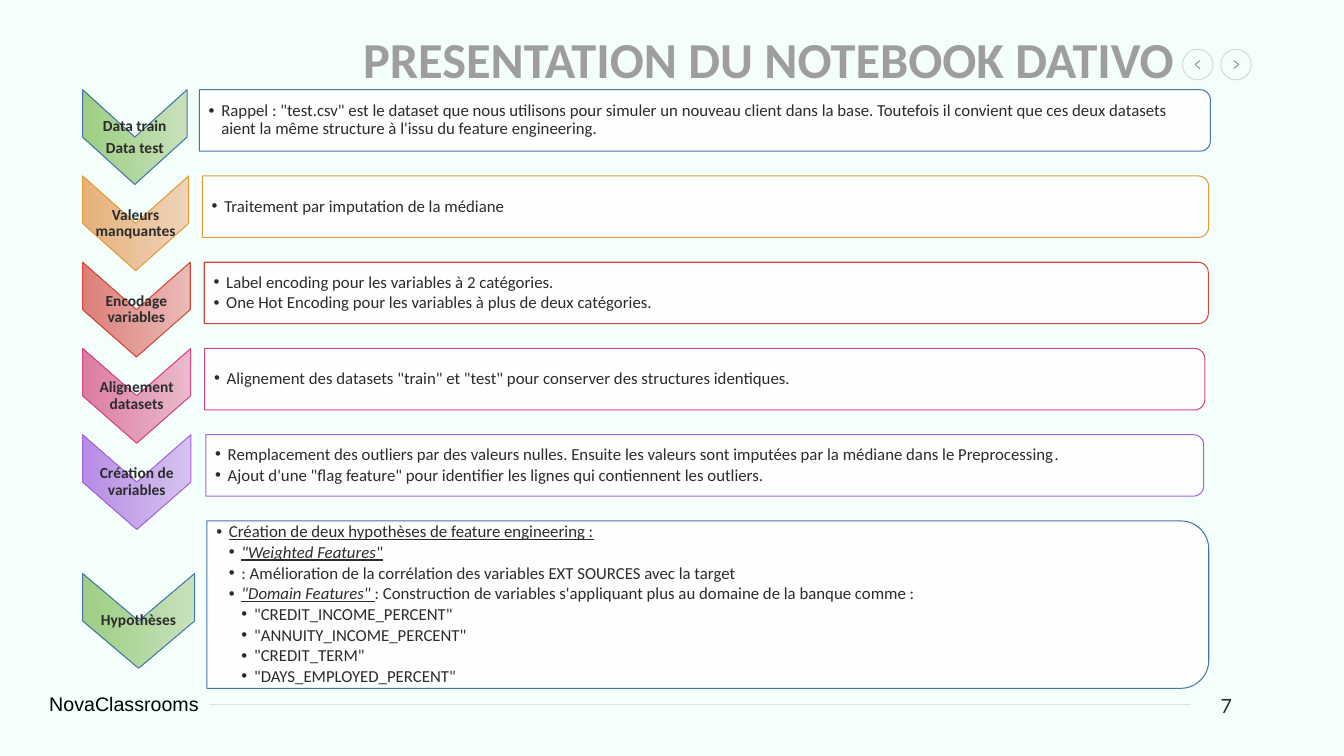
from lxml import etree
from pptx import Presentation
from pptx.dml.color import RGBColor
from pptx.enum.shapes import MSO_CONNECTOR, MSO_SHAPE
from pptx.enum.text import MSO_ANCHOR, MSO_AUTO_SIZE, PP_ALIGN
from pptx.oxml.ns import qn
from pptx.util import Pt

LINE = MSO_CONNECTOR.STRAIGHT
OVAL, CHEVRON, PANEL = MSO_SHAPE.OVAL, MSO_SHAPE.CHEVRON, MSO_SHAPE.ROUND_2_SAME_RECTANGLE
TOP, MIDDLE = MSO_ANCHOR.TOP, MSO_ANCHOR.MIDDLE
LEFT, CENTER, RIGHT = PP_ALIGN.LEFT, PP_ALIGN.CENTER, PP_ALIGN.RIGHT

# Content: a bullet is (level, runs), a run is (text, style), with i italic and u underlined
TITLE = "PRESENTATION DU NOTEBOOK DATIVO"
BRAND, PAGE = "NovaClassrooms", "7"
STEPS = [
    (["Data train", "Data test"], [
        (1, [("Rappel : \"test.csv\" est le dataset que nous utilisons pour simuler un nouveau client "
              "dans la base. Toutefois il convient que ces deux datasets aient la même structure "
              "à l'issu du feature engineering.", "")])]),
    (["Valeurs manquantes"], [
        (1, [("Traitement par imputation de la médiane", "")])]),
    (["Encodage variables"], [
        (1, [("Label encoding pour les variables à 2 catégories.", "")]),
        (1, [("One Hot Encoding pour les variables à plus de deux catégories.", "")])]),
    (["Alignement datasets"], [
        (1, [("Alignement des datasets \"train\" et \"test\" pour conserver des structures "
              "identiques.", "")])]),
    (["Création de variables"], [
        (1, [("Remplacement des outliers par des valeurs nulles. Ensuite les valeurs sont imputées "
              "par la médiane dans le Preprocessing", ""), (".", "i")]),
        (1, [("Ajout d'une \"flag feature\" pour identifier les lignes qui contiennent les "
              "outliers.", "")])]),
    (["Hypothèses"], [
        (1, [("Création de deux hypothèses de feature engineering :", "u")]),
        (2, [("\"Weighted Features\"", "iu")]),
        (2, [(": Amélioration de la corrélation des variables EXT SOURCES avec la target", "")]),
        (2, [("\"Domain Features\" ", "iu"),
             (": Construction de variables s'appliquant plus au domaine de la banque comme :", "")]),
        (3, [("\"CREDIT_INCOME_PERCENT\"", "")]),
        (3, [("\"ANNUITY_INCOME_PERCENT\"", "")]),
        (3, [("\"CREDIT_TERM\"", "")]),
        (3, [("\"DAYS_EMPLOYED_PERCENT\"", "")])]),
]

THEME = {
    "back": "F4FFFC", "title": "9E9E9E", "ink": "2B2B2D", "brand": "000000",
    "panel": "FFFFFF", "rule": "7F7F7F", "ring": "D8D8D8", "arrow": "929297",
    "font": "Calibri", "brand font": "Arial", "page font": "Lato",
    "title size": 36, "label size": 11, "body size": 12, "foot size": 14, "line": 0.75,
    # light, dark, outline
    "steps": [("C8E1BC", "9DCE81", "4276AA"), ("F0D3BA", "E6B179", "E19D3C"),
              ("EABBB8", "DC7E78", "D54839"), ("EABACB", "DD7CA2", "D64487"),
              ("D6C3EF", "B68DE4", "A465DF"), ("C8E1BC", "9DCE81", "4276AA")],
}

# Layout of the steps: chevron width, panel left, panel width
SPANS = [(74.6, 142.4, 722.2), (75.8, 144.5, 718.8), (76.9, 145.9, 717.2),
         (77.2, 146.2, 714.4), (77.4, 147, 712.8), (80, 147.8, 715.6)]
EDGE, START, PITCH = 59, 64.1, 61.6
MARK, SHORT, TALL, DROP = 67.7, 43.9, 119.6, 37.6


def tint(code):
    return RGBColor.from_string(code)


def fade(fill, share):
    color = fill.find(".//" + qn("a:srgbClr"))
    etree.SubElement(color, qn("a:alpha"), val=str(share * 1000))


def style(run, size, color, font=THEME["font"], bold=False):
    run.font.size, run.font.name, run.font.bold = Pt(size), font, bold
    run.font.color.rgb = tint(color)


def frame(slide, box, pads, anchor):
    text = slide.shapes.add_textbox(*map(Pt, box)).text_frame
    inset(text, pads, anchor)
    return text


def inset(text, pads, anchor):
    text.word_wrap, text.auto_size = True, MSO_AUTO_SIZE.NONE
    text.vertical_anchor = anchor
    text.margin_left, text.margin_top, text.margin_right, text.margin_bottom = map(Pt, pads)


def shape(slide, kind, box, line):
    item = slide.shapes.add_shape(kind, *map(Pt, box))
    item.shadow.inherit = False
    item.line.color.rgb, item.line.width = tint(line), Pt(THEME["line"])
    return item


def turned(slide, kind, box, line):
    """Shape rotated a quarter turn so that it covers the given box."""
    x, y, w, h = box
    item = shape(slide, kind, (x + (w - h) / 2, y + (h - w) / 2, h, w), line)
    item.rotation = 90
    return item


def stroke(slide, ends, color):
    item = slide.shapes.add_connector(LINE, *map(Pt, ends))
    item.line.color.rgb, item.line.width = tint(color), Pt(THEME["line"])
    etree.SubElement(item._element.spPr, qn("a:effectLst"))
    return item


def bullet(para, level):
    para.level = level
    props = para._p.get_or_add_pPr()
    props.set("marL", str(Pt(9 * level)))
    props.set("indent", str(-Pt(9)))
    color = etree.SubElement(props, qn("a:buClr"))
    etree.SubElement(color, qn("a:srgbClr"), val=THEME["ink"])
    etree.SubElement(props, qn("a:buFont"), typeface="Arial")
    etree.SubElement(props, qn("a:buChar"), char="•")


def lines(text, count, gap):
    """Yield the paragraphs of a frame, tightly spaced."""
    for n in range(count):
        para = text.add_paragraph() if n else text.paragraphs[0]
        para.line_spacing = 0.9
        para.space_before = Pt(gap if n else 0)
        yield para


def add_step(slide, n):
    labels, bullets = STEPS[n]
    light, dark, edge = THEME["steps"][n]
    wide, left, span = SPANS[n]
    last = n == len(STEPS) - 1
    top = START + n * PITCH
    tall = TALL if last else SHORT

    # Chevron and its label
    box = (EDGE, top + (DROP if last else 0), wide, MARK)
    mark = turned(slide, CHEVRON, box, edge)
    mark.fill.gradient()
    mark.fill.gradient_angle = 270
    for stop, code, place in zip(mark.fill.gradient_stops, (light, dark), (0, 1)):
        stop.color.rgb, stop.position = tint(code), place
    text = frame(slide, box, [0.6] * 4, MIDDLE)
    for para, label in zip(lines(text, len(labels), 3.9), labels):
        para.text, para.alignment = label, CENTER
        style(para.runs[0], THEME["label size"], THEME["ink"], bold=True)

    # Panel and its bullets
    panel = turned(slide, PANEL, (left, top, span, tall), edge)
    panel.fill.solid()
    panel.fill.fore_color.rgb = tint(THEME["panel"])
    fade(panel._element.spPr.find(qn("a:solidFill")), 90)
    trim = tall * 0.05
    text = frame(slide, (left, top + trim, span - 3, tall - 2 * trim), (6.7, 0.6, 0.6, 0.6), MIDDLE)
    for para, (level, parts) in zip(lines(text, len(bullets), 1.8), bullets):
        bullet(para, level)
        for words, look in parts:
            run = para.add_run()
            run.text = words
            style(run, THEME["body size"], THEME["ink"])
            run.font.italic, run.font.underline = "i" in look, "u" in look


def main():
    deck = Presentation()
    deck.slide_width, deck.slide_height = Pt(960), Pt(540)
    slide = deck.slides.add_slide(deck.slide_layouts[5])
    slide.background.fill.solid()
    slide.background.fill.fore_color.rgb = tint(THEME["back"])

    # Footer
    rule = stroke(slide, (149.8, 503.3, 850.3, 503.3), THEME["rule"])
    fade(rule._element.spPr.find(qn("a:ln")), 20)
    for words, box, font, color in (
            (BRAND, (28.1, 491, 131.8, 24.5), THEME["brand font"], THEME["brand"]),
            (PAGE, (864.7, 491.8, 30.2, 24.5), THEME["page font"], THEME["ink"])):
        text = frame(slide, box, (7.2, 3.6, 7.2, 3.6), TOP)
        text.text = words
        text.paragraphs[0].alignment = LEFT
        style(text.paragraphs[0].runs[0], THEME["foot size"], color, font)

    # Back and forward buttons
    mid, size = 46.1, 21.8
    for x, way in ((855.5, -1), (882.9, 1)):
        ring = shape(slide, OVAL, (x - size / 2, mid - size / 2, size, size), THEME["ring"])
        ring.fill.background()
        for rise in (-2.9, 2.9):
            stroke(slide, (x + 2 * way, mid, x - 1.7 * way, mid + rise), THEME["arrow"])

    # Title
    title = slide.shapes.title
    title.left, title.top, title.width, title.height = map(Pt, (116.6, 0, 729.4, 83.5))
    inset(title.text_frame, (7.2, 3.6, 7.2, 3.6), MIDDLE)
    title.text_frame.text = TITLE
    title.text_frame.paragraphs[0].alignment = RIGHT
    style(title.text_frame.paragraphs[0].runs[0], THEME["title size"], THEME["title"], bold=True)

    for n in range(len(STEPS)):
        add_step(slide, n)
    deck.save("out.pptx")


if __name__ == "__main__":
    main()
